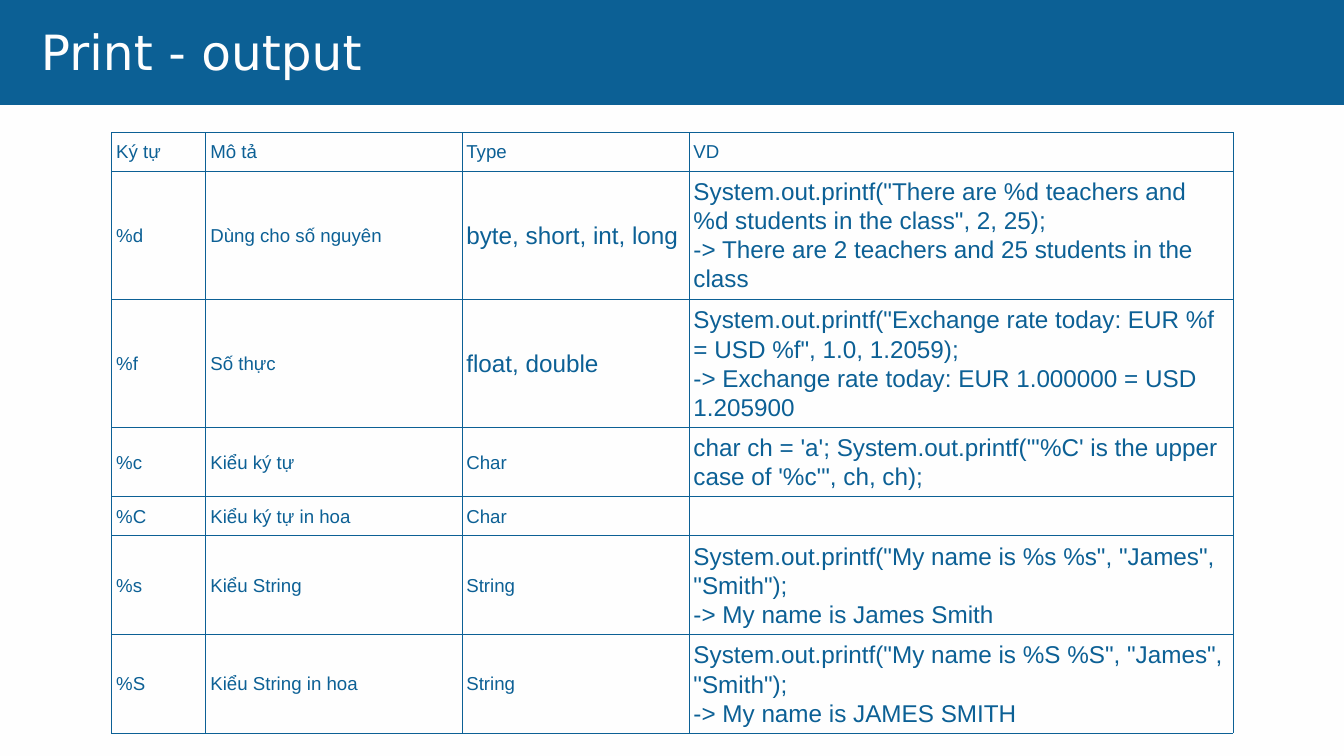
"""Build a slide with a table of printf format specifiers."""
from dataclasses import dataclass

from lxml.etree import SubElement
from pptx import Presentation
from pptx.dml.color import RGBColor
from pptx.enum.shapes import MSO_SHAPE
from pptx.enum.text import MSO_ANCHOR, MSO_AUTO_SIZE, PP_ALIGN
from pptx.oxml.ns import qn
from pptx.slide import Slide
from pptx.table import _Cell
from pptx.text.text import TextFrame
from pptx.util import Emu, Pt

BLUE = RGBColor(0x0C, 0x60, 0x95)
WHITE = RGBColor(0xFE, 0xFE, 0xFE)
BODY_FONT = "Arial"
TITLE_FONT = "DejaVu Sans"
SMALL, LARGE, TITLE_SIZE = 20, 26, 52
LINE_FACTOR = 1.2
BORDER_WIDTH = Pt(0.37)
CELL_MARGIN = 7
COLUMN_WIDTHS = (140, 381, 338, 810)


@dataclass(frozen=True)
class Row:
    """One table row, with the text sizes of its last two columns."""

    height: int
    symbol: str
    description: str
    type_name: str
    example: str
    type_size: int = SMALL
    example_size: int = LARGE


ROWS = (
    Row(57, "Ký tự", "Mô tả", "Type", "VD", example_size=SMALL),
    Row(191, "%d", "Dùng cho số nguyên", "byte, short, int, long",
        'System.out.printf("There are %d teachers and %d students in the class", 2, 25);\n'
        "-> There are 2 teachers and 25 students in the class", type_size=LARGE),
    Row(191, "%f", "Số thực", "float, double",
        'System.out.printf("Exchange rate today: EUR %f = USD %f", 1.0, 1.2059);\n'
        "-> Exchange rate today: EUR 1.000000 = USD 1.205900", type_size=LARGE),
    Row(103, "%c", "Kiểu ký tự", "Char",
        "char ch = 'a'; System.out.printf(\"'%C' is the upper case of '%c'\", ch, ch);"),
    Row(58, "%C", "Kiểu ký tự in hoa", "Char", ""),
    Row(147, "%s", "Kiểu String", "String",
        'System.out.printf("My name is %s %s", "James", "Smith");\n'
        "-> My name is James Smith"),
    Row(147, "%S", "Kiểu String in hoa", "String",
        'System.out.printf("My name is %S %S", "James", "Smith");\n'
        "-> My name is JAMES SMITH"),
)


def px(length: int) -> Emu:
    """Turn px, at 100 to the inch, into EMU."""
    return Emu(length * 9144)


def write_text(text_frame: TextFrame, text: str, size: int, font: str, color: RGBColor) -> None:
    """Set the text and format each of its paragraphs and runs."""
    text_frame.text = text
    for paragraph in text_frame.paragraphs:
        paragraph.alignment = PP_ALIGN.LEFT
        paragraph.line_spacing = Pt(size * LINE_FACTOR)
        for run in paragraph.runs:
            run.font.size = Pt(size)
            run.font.name = font
            run.font.color.rgb = color


def add_borders(cell: _Cell) -> None:
    """Draw a thin blue line on all four sides of a cell."""
    properties = cell._tc.get_or_add_tcPr()
    for side in ("a:lnL", "a:lnR", "a:lnT", "a:lnB"):
        line = SubElement(properties, qn(side), w=str(BORDER_WIDTH))
        fill = SubElement(line, qn("a:solidFill"))
        SubElement(fill, qn("a:srgbClr"), val=str(BLUE))


def fill_cell(cell: _Cell, text: str, size: int) -> None:
    """Write and format one table cell."""
    cell.margin_left = cell.margin_right = px(CELL_MARGIN)
    cell.margin_top = cell.margin_bottom = px(CELL_MARGIN)
    cell.vertical_anchor = MSO_ANCHOR.MIDDLE
    add_borders(cell)
    cell.fill.solid()
    cell.fill.fore_color.rgb = WHITE
    write_text(cell.text_frame, text, size, BODY_FONT, BLUE)


def add_header(slide: Slide, text: str) -> None:
    """Place the title on a blue band."""
    band = slide.shapes.add_shape(MSO_SHAPE.RECTANGLE, 0, 0, px(2000), px(156))
    band.shadow.inherit = False
    band.fill.solid()
    band.fill.fore_color.rgb = BLUE
    band.line.fill.background()

    title = slide.shapes.title
    title.element.addprevious(band.element)
    title.left, title.top, title.width, title.height = px(61), px(32), px(1884), px(98)
    text_frame = title.text_frame
    text_frame.margin_left = text_frame.margin_right = 0
    text_frame.margin_top = text_frame.margin_bottom = 0
    text_frame.word_wrap = True
    text_frame.auto_size = MSO_AUTO_SIZE.SHAPE_TO_FIT_TEXT
    text_frame.vertical_anchor = MSO_ANCHOR.TOP
    write_text(text_frame, text, TITLE_SIZE, TITLE_FONT, WHITE)
    text_frame.paragraphs[0].runs[0].font._element.set("spc", "10")


def add_format_table(slide: Slide) -> None:
    """Add the table of format specifiers."""
    height = sum(row.height for row in ROWS)
    table = slide.shapes.add_table(
        len(ROWS), len(COLUMN_WIDTHS), px(166), px(197), px(sum(COLUMN_WIDTHS)), px(height)
    ).table
    table.first_row = table.horz_banding = False
    for column, width in zip(table.columns, COLUMN_WIDTHS):
        column.width = px(width)
    for table_row, row in zip(table.rows, ROWS):
        table_row.height = px(row.height)
        texts = (row.symbol, row.description, row.type_name, row.example)
        sizes = (SMALL, SMALL, row.type_size, row.example_size)
        for cell, text, size in zip(table_row.cells, texts, sizes):
            fill_cell(cell, text, size)


def main() -> None:
    """Build and save the presentation."""
    presentation = Presentation()
    presentation.slide_width, presentation.slide_height = px(2000), px(1125)
    slide = presentation.slides.add_slide(presentation.slide_layouts[5])
    slide.background.fill.solid()
    slide.background.fill.fore_color.rgb = WHITE
    add_header(slide, "Print - output")
    add_format_table(slide)
    presentation.save("out.pptx")


if __name__ == "__main__":
    main()
